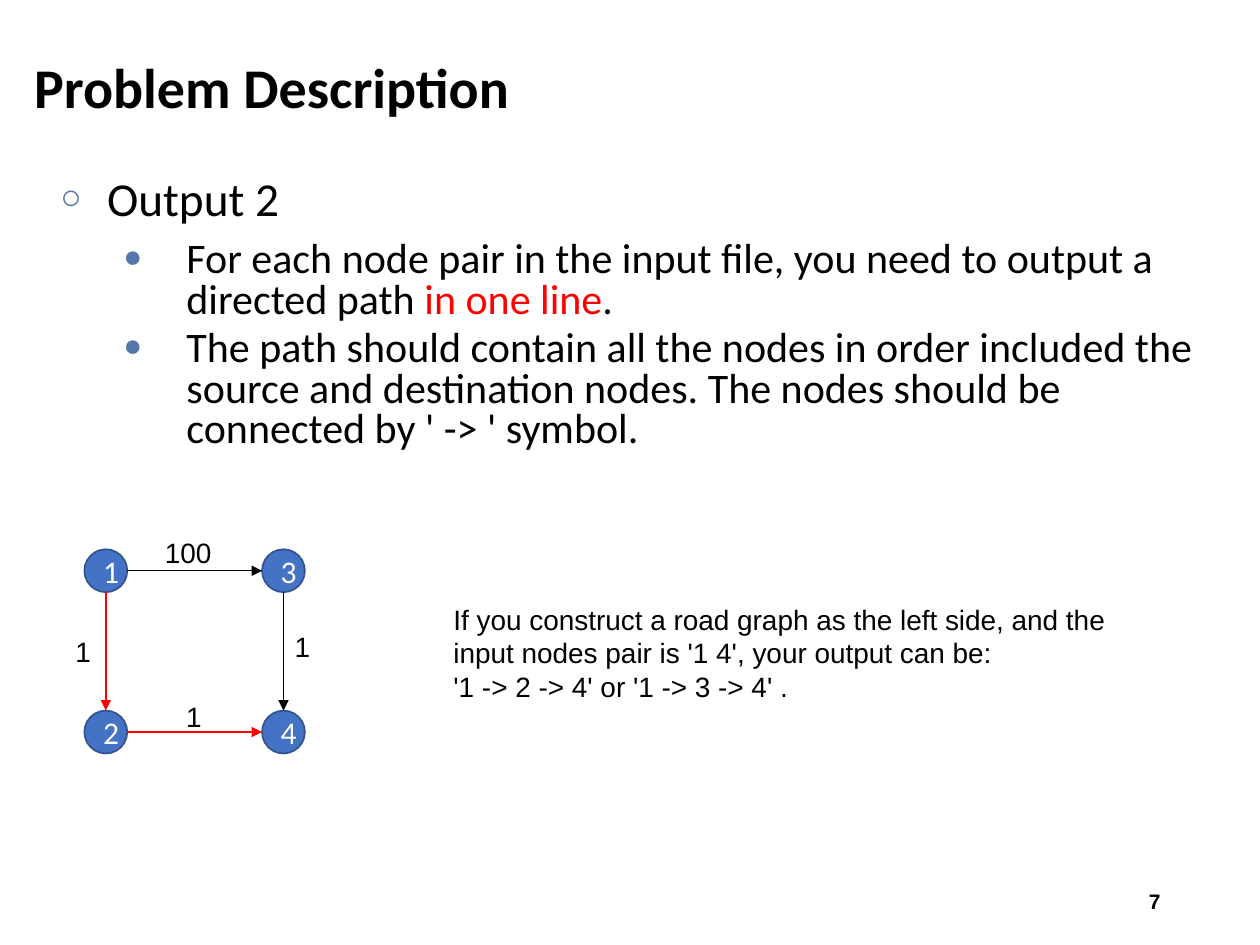
from lxml import etree
from pptx import Presentation
from pptx.dml.color import RGBColor
from pptx.enum.shapes import MSO_CONNECTOR, MSO_SHAPE
from pptx.enum.text import MSO_ANCHOR, MSO_AUTO_SIZE, PP_ALIGN
from pptx.oxml.ns import qn
from pptx.util import Inches, Pt

STRAIGHT = MSO_CONNECTOR.STRAIGHT
OVAL = MSO_SHAPE.OVAL
MIDDLE = MSO_ANCHOR.MIDDLE
NO_FIT, GROW = MSO_AUTO_SIZE.NONE, MSO_AUTO_SIZE.SHAPE_TO_FIT_TEXT
LEFT, CENTER, RIGHT = PP_ALIGN.LEFT, PP_ALIGN.CENTER, PP_ALIGN.RIGHT

BLACK = RGBColor(0x00, 0x00, 0x00)
WHITE = RGBColor(0xFF, 0xFF, 0xFF)
RED = RGBColor(0xFF, 0x00, 0x00)
NODE_FILL = RGBColor(0x44, 0x72, 0xC4)
NODE_LINE = RGBColor(0x32, 0x54, 0x91)
BULLET = RGBColor(0x56, 0x75, 0xA9)

TITLE = "Problem Description"
# level, runs of (text, colour)
BODY = [
    (0, [("Output 2", BLACK)]),
    (1, [("For each node pair in the input file, you need to output a directed path ", BLACK),
         ("in one line", RED), (".", BLACK)]),
    (1, [("The path should contain all the nodes in order included the source and "
          "destination nodes. The nodes should be connected by ' -> ' symbol.", BLACK)]),
]
# size, text indent, hanging indent, spacing %, bullet character
LEVELS = [(27, 0.37, 0.37, 25, "○"), (24, 1, 0.5, 10, "●")]
EXPLANATION = [
    "If you construct a road graph as the left side, and the input nodes pair is '1 4', "
    "your output can be:",
    "'1 -> 2 -> 4' or '1 -> 3 -> 4' .",
]
PAGE_NUMBER = "7"

# node centres
COLUMNS, ROWS = (0.84, 2.25), (4.53, 5.81)
NODES = {
    "1": (COLUMNS[0], ROWS[0]), "2": (COLUMNS[0], ROWS[1]),
    "3": (COLUMNS[1], ROWS[0]), "4": (COLUMNS[1], ROWS[1]),
}
NODE_SIZE = 0.34
# from, to, colour, width, weight, weight label box
EDGES = [
    ("1", "2", RED, 1.25, "1", (0.5, 4.99, 0.33, 0.37)),
    ("1", "3", BLACK, 0.75, "100", (1.21, 4.2, 0.58, 0.37)),
    ("3", "4", BLACK, 0.75, "1", (2.24, 4.95, 0.33, 0.37)),
    ("2", "4", RED, 1.25, "1", (1.38, 5.5, 0.33, 0.37)),
]


def add_run(paragraph, text, size, color=BLACK, font="Calibri", bold=False):
    run = paragraph.add_run()
    run.text = text
    run.font.size = Pt(size)
    run.font.name = font
    run.font.bold = bold
    run.font.color.rgb = color


def place(shape, box):
    shape.left, shape.top, shape.width, shape.height = map(Inches, box)


def format_level(paragraph, level):
    """Apply the indents, relative spacing and bullet of a list level."""
    size, indent, hanging, spacing, character = LEVELS[level]
    paragraph.level = level
    paragraph.alignment = LEFT
    paragraph.line_spacing = 0.8
    properties = paragraph._p.get_or_add_pPr()
    properties.set("marL", str(Inches(indent)))
    properties.set("indent", str(-Inches(hanging)))
    for tag in ("a:spcBef", "a:spcAft"):
        space = etree.SubElement(properties, qn(tag))
        etree.SubElement(space, qn("a:spcPct"), val=str(spacing * 1000))
    color = etree.SubElement(properties, qn("a:buClr"))
    etree.SubElement(color, qn("a:srgbClr"), val=str(BULLET))
    etree.SubElement(properties, qn("a:buSzPct"), val="75000")
    etree.SubElement(properties, qn("a:buFont"), typeface="Arial")
    etree.SubElement(properties, qn("a:buChar"), char=character)
    return size


def add_text_box(slide, box, lines, size=16, wrap=True, fit=GROW, align=LEFT, bold=False):
    shape = slide.shapes.add_textbox(*map(Inches, box))
    frame = shape.text_frame
    frame.word_wrap = wrap
    frame.auto_size = fit
    for index, line in enumerate(lines):
        paragraph = frame.add_paragraph() if index else frame.paragraphs[0]
        paragraph.alignment = align
        add_run(paragraph, line, size, font="Arial", bold=bold)
    return shape


def add_node(slide, name, center):
    corner = [Inches(value - NODE_SIZE / 2) for value in center]
    node = slide.shapes.add_shape(OVAL, *corner, Inches(NODE_SIZE), Inches(NODE_SIZE))
    node.shadow.inherit = False
    node.fill.solid()
    node.fill.fore_color.rgb = NODE_FILL
    node.line.color.rgb = NODE_LINE
    node.line.width = Pt(1)
    node.text_frame.vertical_anchor = MIDDLE
    paragraph = node.text_frame.paragraphs[0]
    paragraph.alignment = CENTER
    add_run(paragraph, name, 18, WHITE)


def add_edge(slide, start, end, color, width):
    """Draw an arrow between the facing rims of two nodes."""
    radius = NODE_SIZE / 2
    (x1, y1), (x2, y2) = NODES[start], NODES[end]
    if x1 == x2:
        y1, y2 = y1 + radius, y2 - radius
    else:
        x1, x2 = x1 + radius, x2 - radius
    edge = slide.shapes.add_connector(STRAIGHT, *map(Inches, (x1, y1, x2, y2)))
    edge.line.color.rgb = color
    edge.line.width = Pt(width)
    etree.SubElement(edge.line._get_or_add_ln(), qn("a:tailEnd"), type="triangle")
    etree.SubElement(edge._element.spPr, qn("a:effectLst"))


def main():
    presentation = Presentation()
    presentation.slide_width, presentation.slide_height = Inches(10), Inches(7.5)
    slide = presentation.slides.add_slide(presentation.slide_layouts[1])

    title, body = slide.shapes.title, slide.placeholders[1]
    place(title, (0.17, 0.12, 9.5, 1.12))
    title.text_frame.auto_size = NO_FIT
    title.text_frame.vertical_anchor = MIDDLE
    title.text_frame.paragraphs[0].alignment = LEFT
    add_run(title.text_frame.paragraphs[0], TITLE, 32, bold=True)

    place(body, (0.38, 1.38, 9.25, 5.58))
    body.text_frame.auto_size = NO_FIT
    for index, (level, runs) in enumerate(BODY):
        frame = body.text_frame
        paragraph = frame.add_paragraph() if index else frame.paragraphs[0]
        size = format_level(paragraph, level)
        for text, color in runs:
            add_run(paragraph, text, size, color)

    number = add_text_box(slide, (7.06, 6.95, 2.25, 0.4), [PAGE_NUMBER], 12,
                          fit=NO_FIT, align=RIGHT, bold=True)
    number.text_frame.vertical_anchor = MIDDLE

    for name, center in NODES.items():
        add_node(slide, name, center)
    for start, end, color, width, weight, label_box in EDGES:
        add_edge(slide, start, end, color, width)
        add_text_box(slide, label_box, [weight], wrap=False)
    add_text_box(slide, (3.5, 4.73, 5.51, 0.91), EXPLANATION)

    presentation.save("out.pptx")


if __name__ == "__main__":
    main()
